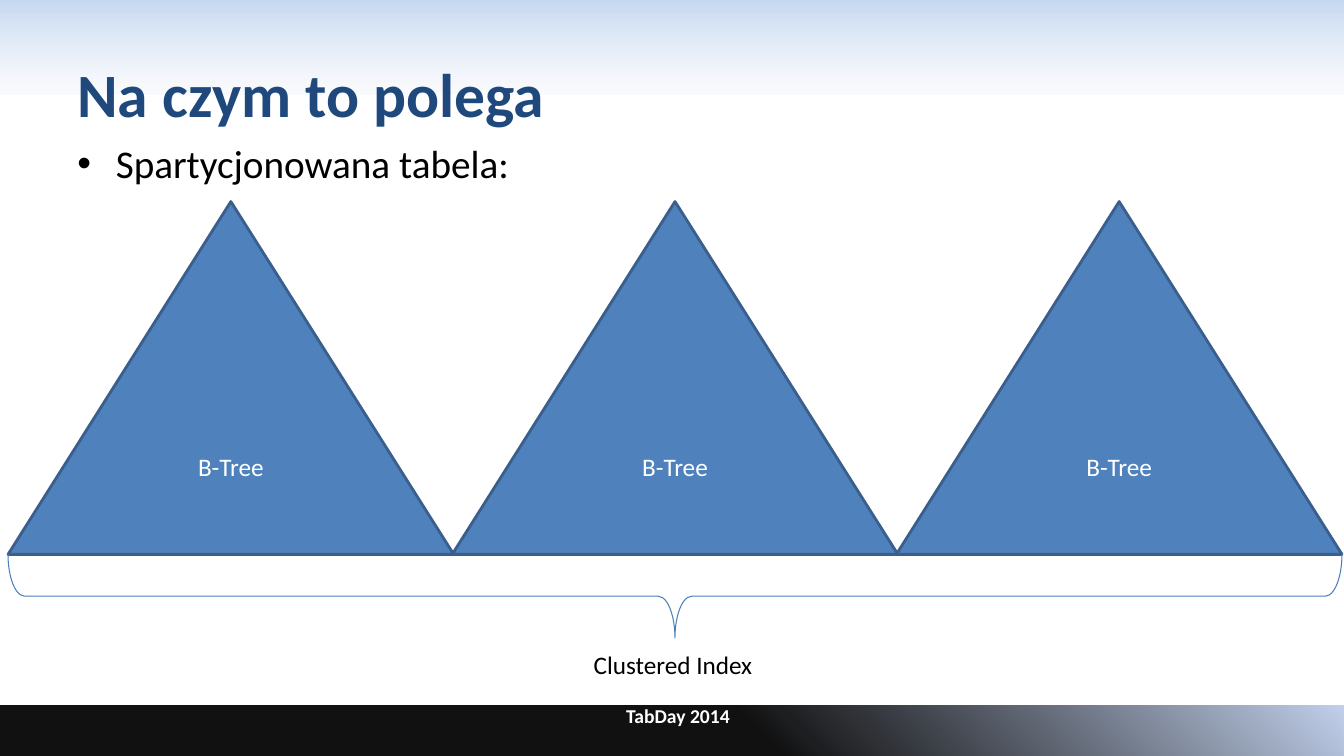
from lxml import etree
from pptx import Presentation
from pptx import util as u
from pptx.dml.color import RGBColor
from pptx.enum import shapes, text
from pptx.oxml import ns

deck = Presentation()
deck.slide_width, deck.slide_height = u.Inches(13.33), u.Inches(7.5)
slide = deck.slides.add_slide(deck.slide_layouts[6])
WIDTH = 13.33


def hex_color(value):
    return RGBColor.from_string(value)


def write(item, words, size, color, bold=False, align=text.PP_ALIGN.LEFT,
          anchor=text.MSO_ANCHOR.TOP, wrap=True):
    frame = item.text_frame
    frame.text = words
    frame.word_wrap = wrap
    frame.vertical_anchor = anchor
    line = frame.paragraphs[0]
    line.alignment = align
    font = line.runs[0].font
    font.name, font.size, font.bold = "Calibri", u.Pt(size), bold
    font.color.rgb = hex_color(color)
    return line


bands = [
    (0, 0.94, 90, [(0, "C6D9F1", 100), (100, "E1E8F5", 16)]),
    (7, 0.51, 315, [(56, "000000", 93), (100, "C2D1ED", 100)]),
]
for top, height, angle, stops in bands:
    band = slide.shapes.add_shape(shapes.MSO_SHAPE.RECTANGLE, 0, u.Inches(top),
                                  deck.slide_width, u.Inches(height))
    band.shadow.inherit = False
    band.line.fill.background()
    band.fill.gradient()
    gradient = band.fill._xPr.find(ns.qn("a:gradFill"))
    for part in list(gradient):
        gradient.remove(part)
    stop_list = etree.SubElement(gradient, ns.qn("a:gsLst"))
    for position, color, opacity in stops:
        stop = etree.SubElement(stop_list, ns.qn("a:gs"), pos=str(position * 1000))
        tint = etree.SubElement(stop, ns.qn("a:srgbClr"), val=color)
        etree.SubElement(tint, ns.qn("a:alpha"), val=str(opacity * 1000))
    etree.SubElement(gradient, ns.qn("a:lin"), ang=str(angle * 60000), scaled="0")

title = slide.shapes.add_textbox(u.Inches(0.67), u.Inches(0.3), u.Inches(12), u.Inches(1.25))
write(title, "Na czym to polega", 44, "1F497D", bold=True, anchor=text.MSO_ANCHOR.MIDDLE)

body = slide.shapes.add_textbox(u.Inches(0.67), u.Inches(1.33), u.Inches(12), u.Inches(5.37))
point = write(body, "Spartycjonowana tabela:", 28, "000000")
point.space_before = u.Pt(5.6)
bullet = point._p.get_or_add_pPr()
bullet.set("marL", str(u.Inches(0.38)))
bullet.set("indent", str(-u.Inches(0.38)))
etree.SubElement(bullet, ns.qn("a:buFont"), typeface="Arial")
etree.SubElement(bullet, ns.qn("a:buChar"), char="•")

footer = slide.shapes.add_textbox(u.Inches(3.78), u.Inches(6.93), u.Inches(5.89), u.Inches(0.42))
write(footer, "TabDay 2014", 14, "FFFFFF", bold=True, align=text.PP_ALIGN.CENTER)

tree_left, tree_top, tree_width, tree_height = 0.08, 2, 4.42, 3.5
tree_step = 4.405
for column in range(3):
    tree = slide.shapes.add_shape(
        shapes.MSO_SHAPE.ISOSCELES_TRIANGLE, u.Inches(tree_left + column * tree_step),
        u.Inches(tree_top), u.Inches(tree_width), u.Inches(tree_height))
    tree.shadow.inherit = False
    tree.fill.solid()
    tree.fill.fore_color.rgb = hex_color("4F81BD")
    tree.line.color.rgb = hex_color("3A5F8C")
    tree.line.width = u.Pt(2)
    write(tree, "B-Tree", 18, "FFFFFF", align=text.PP_ALIGN.CENTER,
          anchor=text.MSO_ANCHOR.MIDDLE)

brace_depth, brace_span = 0.83, 2 * tree_step + tree_width
brace_x = tree_left + brace_span / 2
brace_y = tree_top + tree_height + brace_depth / 2
brace = slide.shapes.add_shape(
    shapes.MSO_SHAPE.LEFT_BRACE, u.Inches(brace_x - brace_depth / 2),
    u.Inches(brace_y - brace_span / 2), u.Inches(brace_depth), u.Inches(brace_span))
brace.rotation = 270
brace.adjustments[0], brace.adjustments[1] = 0.2, 0.5
brace.shadow.inherit = False
brace.fill.background()
brace.line.color.rgb = hex_color("4B7EBC")
brace.line.width = u.Pt(0.75)

index = slide.shapes.add_textbox(u.Inches(5.79), u.Inches(6.39), u.Inches(1.79), u.Inches(0.4))
write(index, "Clustered Index", 18, "000000", wrap=False)
index.text_frame.auto_size = text.MSO_AUTO_SIZE.SHAPE_TO_FIT_TEXT

deck.save("out.pptx")
